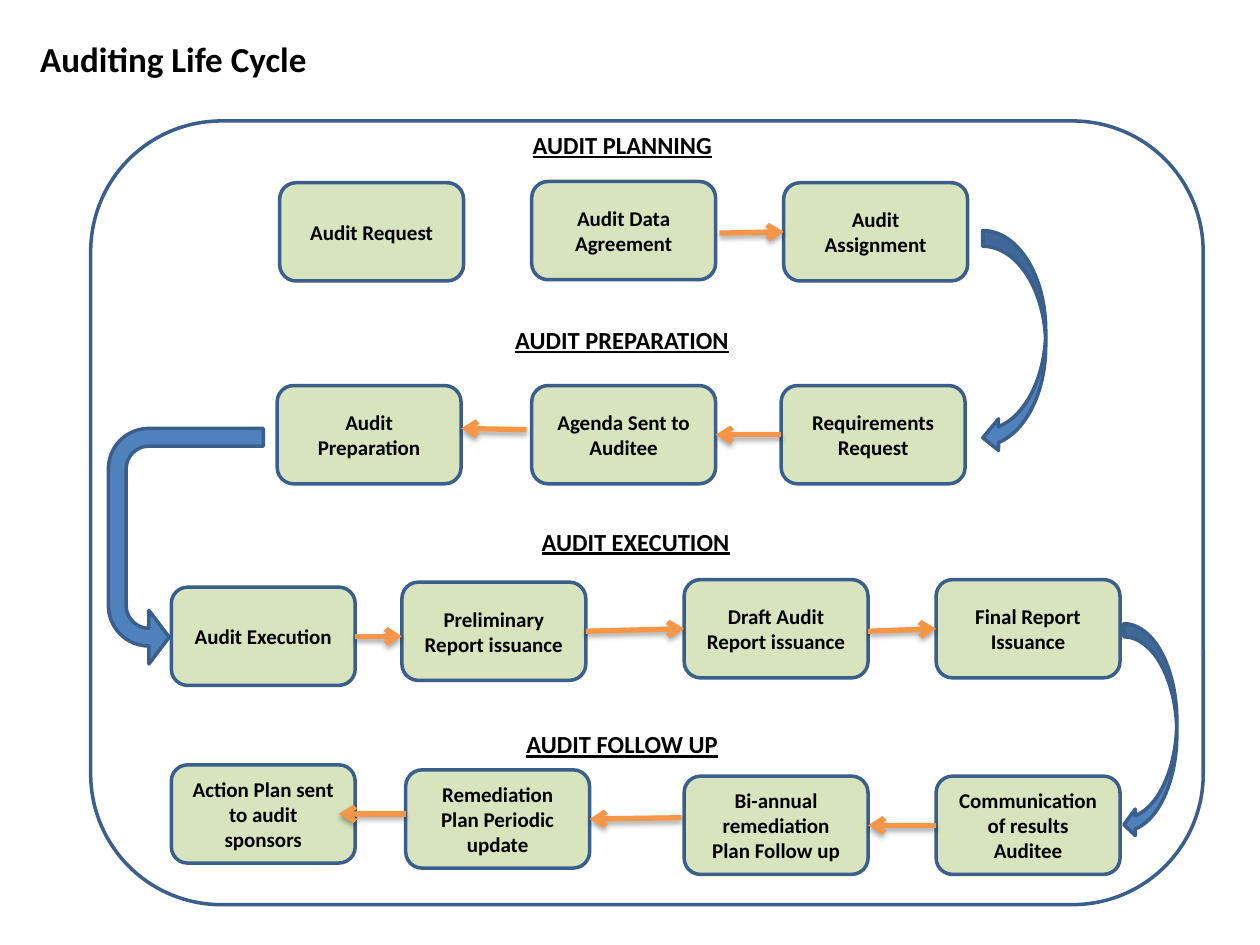
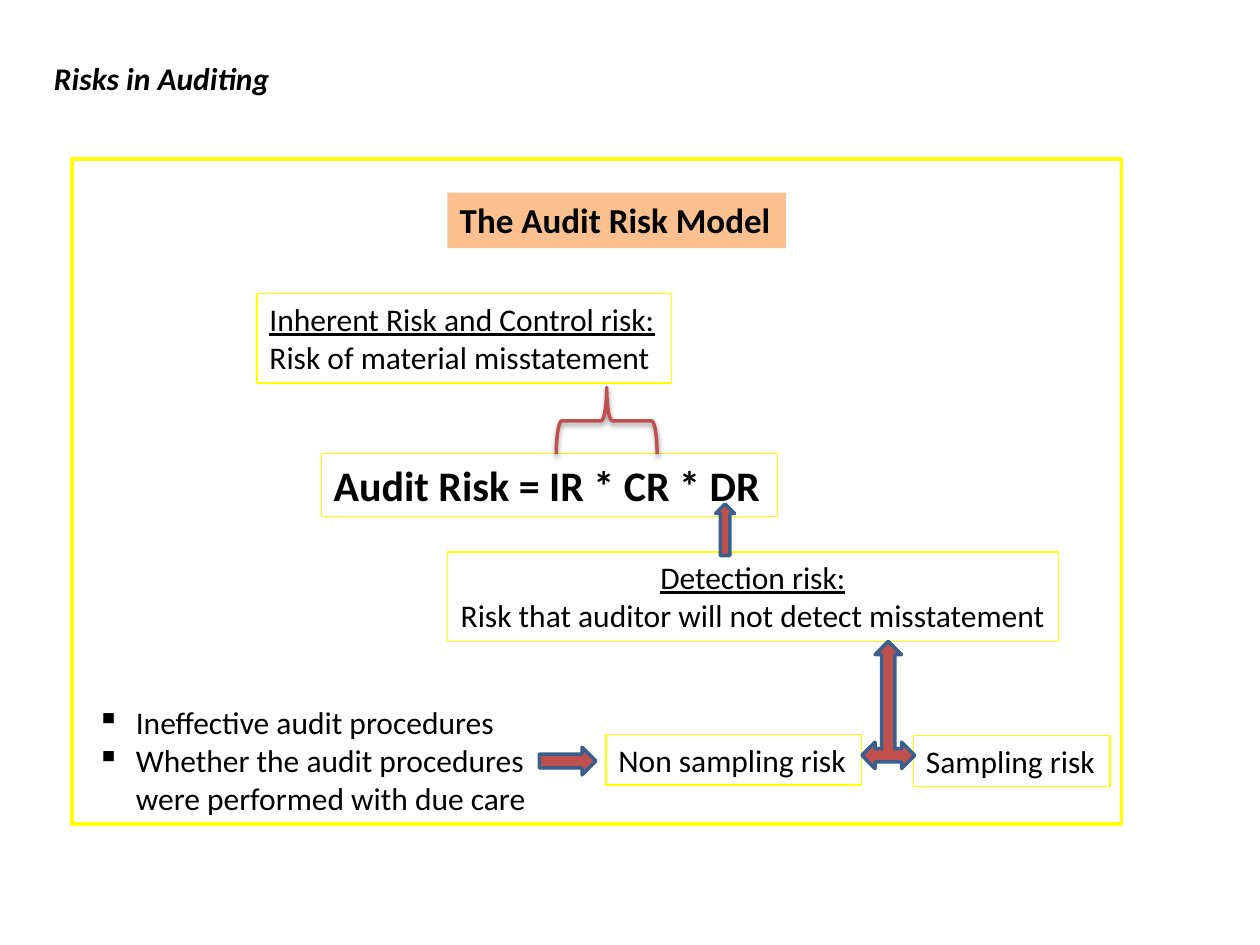
from dataclasses import dataclass

from lxml import etree
from pptx import Presentation
from pptx.dml.color import RGBColor
from pptx.enum.shapes import MSO_CONNECTOR, MSO_SHAPE
from pptx.enum.text import MSO_ANCHOR, MSO_AUTO_SIZE, PP_ALIGN
from pptx.oxml.ns import qn
from pptx.shapes.autoshape import Shape
from pptx.shapes.base import BaseShape
from pptx.slide import Slide
from pptx.util import Emu, Pt

ROUNDED = MSO_SHAPE.ROUNDED_RECTANGLE
RECTANGLE = MSO_SHAPE.RECTANGLE
CURVED_LEFT = MSO_SHAPE.CURVED_LEFT_ARROW
U_TURN = MSO_SHAPE.U_TURN_ARROW
RIGHT_ARROW = MSO_SHAPE.RIGHT_ARROW
THREE_WAY = MSO_SHAPE.LEFT_RIGHT_UP_ARROW
BRACE = MSO_SHAPE.LEFT_BRACE
STRAIGHT = MSO_CONNECTOR.STRAIGHT
LEFT, CENTER = PP_ALIGN.LEFT, PP_ALIGN.CENTER
LEFT_SIDE, RIGHT_SIDE = 1, 3

EMU_PER_PX = 9144  # 100 px to the inch
FONT = "Calibri"
BLACK, WHITE, YELLOW = "000000", "FFFFFF", "FFFF00"
NAVY, BLUE, GREEN = "3A5F8C", "4F81BD", "D7E4BD"
ORANGE, PEACH, RED = "F79646", "FAC090", "C0504D"
STEP_WIDTH, STEP_HEIGHT = 146, 78

Point = tuple[int, int]
Area = tuple[int, int, int, int]


@dataclass(frozen=True)
class Label:
    area: Area
    lines: tuple[str, ...]
    size: int = 18
    bold: bool = False
    italic: bool = False
    underline_first: bool = False
    align: PP_ALIGN = LEFT
    fill: str = ""
    line: str = ""
    bullet: str = ""


@dataclass(frozen=True)
class Block:
    kind: MSO_SHAPE
    area: Area
    fill: str = ""
    line: str = NAVY
    rotation: int = 0
    flipped: bool = False
    adjustments: tuple[float, ...] = ()


@dataclass(frozen=True)
class Step:
    text: str
    x: int
    y: int


@dataclass(frozen=True)
class Arrow:
    """Each end is a step number within the phase, or a free point."""
    begin: int | Point
    end: int | Point


@dataclass(frozen=True)
class Phase:
    heading: str
    heading_area: Area
    rightward: bool
    steps: tuple[Step, ...]
    arrows: tuple[Arrow, ...]


CYCLE_TITLE = Label((22, 25, 234, 44), ("Auditing Life Cycle",), 20, bold=True)
CYCLE_OUTLINE = Block(ROUNDED, (72, 96, 883, 622))
PHASES = (
    Phase("AUDIT PLANNING", (413, 98, 164, 34), True,
          (Step("Audit Request", 222, 145),
           Step("Audit Data Agreement", 422, 144),
           Step("Audit Assignment", 622, 145)),
          (Arrow((571, 185), 2),)),
    Phase("AUDIT PREPARATION", (399, 253, 191, 34), False,
          (Step("Requirements Request", 620, 306),
           Step("Agenda Sent to Auditee", 422, 306),
           Step("Audit Preparation", 220, 306)),
          (Arrow(0, 1), Arrow((418, 341), (366, 340)))),
    Phase("AUDIT EXECUTION", (420, 413, 171, 34), True,
          (Step("Audit Execution", 136, 466),
           Step("Preliminary Report issuance", 319, 462),
           Step("Draft Audit Report issuance", 543, 460),
           Step("Final Report Issuance", 743, 460)),
          (Arrow(0, (319, 505)), Arrow(1, 2), Arrow((689, 501), 3))),
    Phase("AUDIT FOLLOW UP", (408, 574, 173, 34), False,
          (Step("Communication of results Auditee", 743, 616),
           Step("Bi-annual remediation Plan Follow up", 543, 616),
           Step("Remediation Plan Periodic update", 322, 611),
           Step("Action Plan sent to audit sponsors", 136, 607)),
          (Arrow(0, 1), Arrow((541, 649), 2), Arrow((322, 646), (269, 646)))),
)
PHASE_TURNS = (
    Block(CURVED_LEFT, (780, 183, 50, 177), BLUE),
    Block(U_TURN, (54, 372, 187, 123), BLUE, rotation=270, flipped=True,
          adjustments=(0.115, 0.173, 0.131, 0.322, 0.393)),
    Block(CURVED_LEFT, (892, 495, 42, 170), BLUE, adjustments=(0.25, 0.5, 0.215)),
)

RISK_FRAME = Block(RECTANGLE, (57, 126, 833, 528), WHITE, YELLOW)
RISK_LABELS = (
    Label((33, 42, 193, 40), ("Risks in Auditing",), bold=True, italic=True),
    Label((355, 153, 269, 44), ("The Audit Risk Model",), 20, bold=True, fill=PEACH),
    Label((204, 233, 329, 71),
          ("Inherent Risk and Control risk:", "Risk of material misstatement"),
          underline_first=True, line=YELLOW),
    Label((255, 360, 362, 50), ("Audit Risk = IR * CR * DR",), 24, bold=True,
          line=YELLOW),
    Label((355, 438, 485, 71),
          ("Detection risk:", "Risk that auditor will not detect misstatement"),
          underline_first=True, align=CENTER, line=YELLOW),
    Label((725, 584, 156, 40), ("Sampling risk",), line=YELLOW),
    Label((481, 583, 203, 40), ("Non sampling risk",), line=YELLOW),
    Label((67, 553, 369, 101),
          ("Ineffective audit procedures",
           "Whether the audit procedures were performed with due care"),
          bullet="▪"),
)
RISK_BRACE = Block(BRACE, (455, 294, 53, 80), line=RED, rotation=90)
RISK_ARROWS = (
    Block(RIGHT_ARROW, (555, 413, 41, 15), RED, rotation=270),
    Block(THREE_WAY, (684, 509, 42, 101), RED),
    Block(RIGHT_ARROW, (428, 593, 45, 22), RED),
)


def px(length: int) -> Emu:
    return Emu(length * EMU_PER_PX)


def color(value: str) -> RGBColor:
    return RGBColor.from_string(value)


def paint(box: Shape, fill: str, line: str, weight: float) -> None:
    """Set fill and outline; an empty colour means none."""
    if fill:
        box.fill.solid()
        box.fill.fore_color.rgb = color(fill)
    else:
        box.fill.background()
    if line:
        box.line.color.rgb = color(line)
        box.line.width = Pt(weight)
    else:
        box.line.fill.background()


def cast_shadow(item: BaseShape, opacity: int, distance: float) -> None:
    """Put a soft black shadow below the item."""
    properties = item._element.spPr
    effects = properties.find(qn("a:effectLst"))
    if effects is None:
        effects = etree.SubElement(properties, qn("a:effectLst"))
    shadow = etree.SubElement(
        effects, qn("a:outerShdw"), blurRad=str(Pt(3.1)), dist=str(Pt(distance)),
        dir="5400000", rotWithShape="0")
    black = etree.SubElement(shadow, qn("a:srgbClr"), val=BLACK)
    etree.SubElement(black, qn("a:alpha"), val=str(opacity * 1000))


def add_label(page: Slide, label: Label) -> None:
    box = page.shapes.add_textbox(*map(px, label.area))
    paint(box, label.fill, label.line, 0.75)
    frame = box.text_frame
    frame.word_wrap = bool(label.bullet)
    frame.auto_size = MSO_AUTO_SIZE.SHAPE_TO_FIT_TEXT
    frame.text = "\n".join(label.lines)
    for number, para in enumerate(frame.paragraphs):
        para.alignment = label.align
        if label.bullet:
            layout = para._p.get_or_add_pPr()
            layout.set("marL", str(px(31)))
            layout.set("indent", str(-px(31)))
            etree.SubElement(layout, qn("a:buChar"), char=label.bullet)
        font = para.font
        font.name, font.size = FONT, Pt(label.size)
        font.bold, font.italic = label.bold, label.italic
        font.underline = label.underline_first and number == 0
        font.color.rgb = color(BLACK)


def add_block(page: Slide, block: Block) -> Shape:
    box = page.shapes.add_shape(block.kind, *map(px, block.area))
    box.shadow.inherit = False
    paint(box, block.fill, block.line, 2)
    box.rotation = block.rotation
    if block.flipped:
        box._element.spPr.xfrm.set("flipH", "1")
    for number, value in enumerate(block.adjustments):
        box.adjustments[number] = value
    return box


def add_step(page: Slide, step: Step) -> Shape:
    box = add_block(page, Block(ROUNDED, (step.x, step.y, STEP_WIDTH, STEP_HEIGHT), GREEN))
    frame = box.text_frame
    frame.word_wrap = True
    frame.vertical_anchor = MSO_ANCHOR.MIDDLE
    frame.text = step.text
    para = frame.paragraphs[0]
    para.alignment = CENTER
    para.font.name, para.font.size, para.font.bold = FONT, Pt(12), True
    para.font.color.rgb = color(BLACK)
    return box


def add_arrow(page: Slide, arrow: Arrow, boxes: list[Shape], rightward: bool) -> None:
    """Draw an arrow, joining each end that names a step to that step's side."""
    free_begin = (0, 0) if isinstance(arrow.begin, int) else arrow.begin
    free_end = (0, 0) if isinstance(arrow.end, int) else arrow.end
    link = page.shapes.add_connector(STRAIGHT, *map(px, free_begin + free_end))
    exit_side, entry_side = (
        (RIGHT_SIDE, LEFT_SIDE) if rightward else (LEFT_SIDE, RIGHT_SIDE))
    if isinstance(arrow.begin, int):
        link.begin_connect(boxes[arrow.begin], exit_side)
    if isinstance(arrow.end, int):
        link.end_connect(boxes[arrow.end], entry_side)
    link.line.color.rgb = color(ORANGE)
    link.line.width = Pt(3)
    etree.SubElement(link.line._get_or_add_ln(), qn("a:tailEnd"), type="arrow")
    cast_shadow(link, 35, 1.8)


def add_phase(page: Slide, phase: Phase) -> None:
    boxes = [add_step(page, step) for step in phase.steps]
    add_label(page, Label(phase.heading_area, (phase.heading,), 14, bold=True,
                          underline_first=True))
    for arrow in phase.arrows:
        add_arrow(page, arrow, boxes, phase.rightward)


def build_life_cycle(page: Slide) -> None:
    add_label(page, CYCLE_TITLE)
    add_block(page, CYCLE_OUTLINE)
    for phase in PHASES:
        add_phase(page, phase)
    for turn in PHASE_TURNS:
        add_block(page, turn)


def build_risk_model(page: Slide) -> None:
    add_block(page, RISK_FRAME)
    for label in RISK_LABELS:
        add_label(page, label)
    cast_shadow(add_block(page, RISK_BRACE), 38, 1.6)
    for arrow in RISK_ARROWS:
        add_block(page, arrow)


def main() -> None:
    deck = Presentation()
    deck.slide_width, deck.slide_height = px(1000), px(750)
    blank = deck.slide_layouts[6]
    for build in (build_life_cycle, build_risk_model):
        build(deck.slides.add_slide(blank))
    deck.save("out.pptx")


if __name__ == "__main__":
    main()
